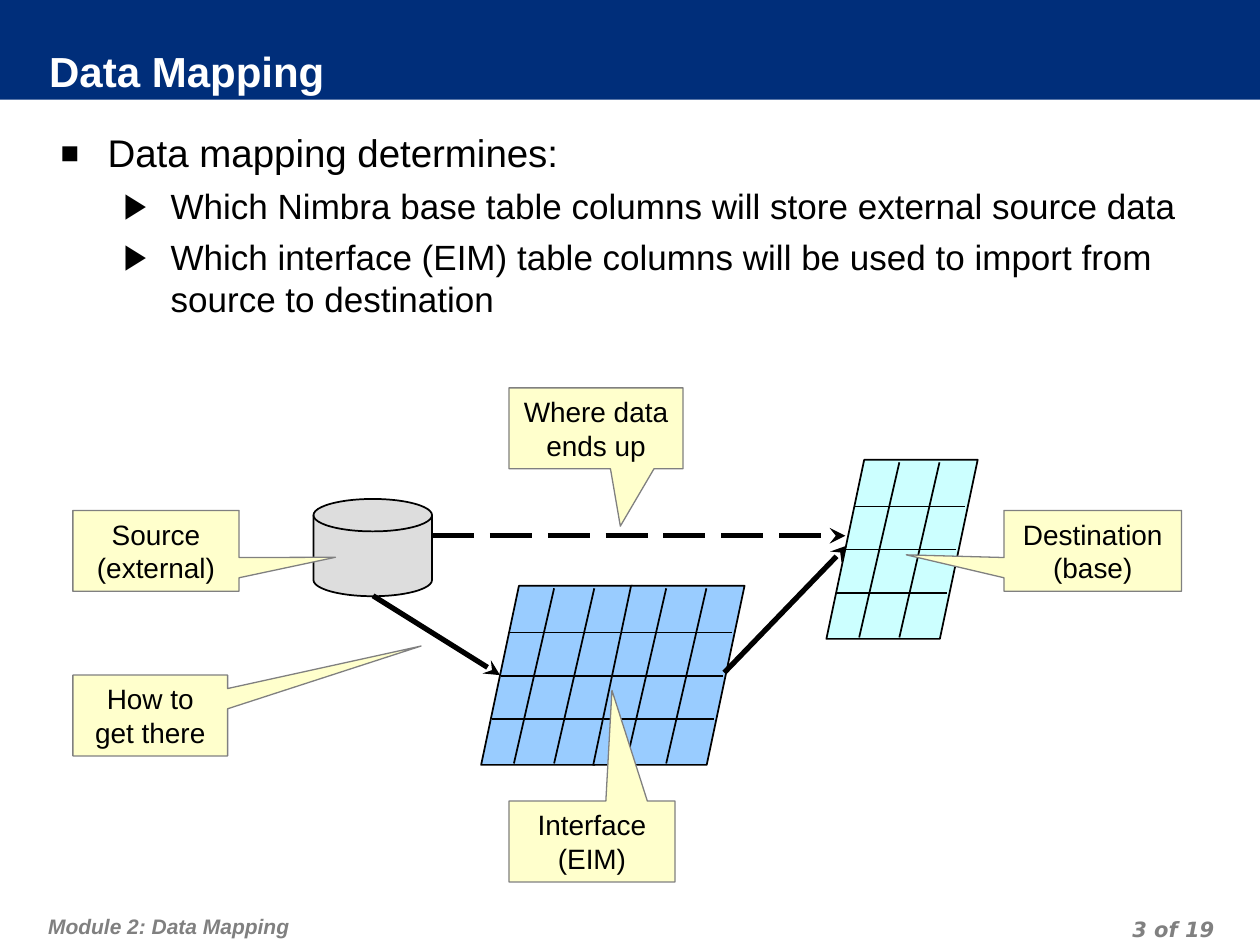
from lxml import etree
from pptx import Presentation
from pptx import util as u
from pptx.dml.color import RGBColor
from pptx.enum import dml, shapes, text
from pptx.oxml import ns


def color(value):
    return RGBColor.from_string(value)


def box(left, top, width, height):
    return u.Cm(left), u.Cm(top), u.Cm(width), u.Cm(height)


class SlideBuilder:
    FONT = "Arial"
    BLACK = "000000"
    WHITE = "FFFFFF"
    GRAY = "808080"
    NAVY = "002E7A"
    NOTE = "FFFFCC"

    def __init__(self, slide):
        self.slide = slide

    def style(self, paragraph, size, ink, font=FONT, bold=False, italic=False):
        for run in paragraph.runs:
            run.font.size = u.Pt(size)
            run.font.name = font
            run.font.bold = bold
            run.font.italic = italic
            run.font.color.rgb = color(ink)

    def frame(self, holder, insets, anchor=text.MSO_ANCHOR.TOP):
        frame = holder.text_frame
        frame.word_wrap = True
        frame.auto_size = text.MSO_AUTO_SIZE.NONE
        frame.vertical_anchor = anchor
        (frame.margin_left, frame.margin_top,
         frame.margin_right, frame.margin_bottom) = map(u.Cm, insets)
        return frame

    def place(self, holder, left, top, width, height):
        holder.left, holder.top, holder.width, holder.height = box(left, top, width, height)

    def title(self, wording, *place):
        title = self.slide.shapes.title
        self.place(title, *place)
        title.fill.solid()
        title.fill.fore_color.rgb = color(self.NAVY)
        frame = self.frame(title, (0, 0, 0.13, 0.13), text.MSO_ANCHOR.MIDDLE)
        frame.text = wording
        frame.paragraphs[0].alignment = text.PP_ALIGN.LEFT
        self.style(frame.paragraphs[0], 24, self.WHITE, bold=True)

    def bullets(self, items, *place):
        body = self.slide.placeholders[1]
        self.place(body, *place)
        frame = self.frame(body, (0.25, 0.25, 0.25, 0.13))
        frame.text = "\n".join(wording for level, wording in items)
        looks = (("■", 80, 0.95, 22), ("▶", 100, 2.22, 20))
        for paragraph, (level, wording) in zip(frame.paragraphs, items):
            mark, percent, indent, size = looks[level]
            paragraph.level = level
            props = paragraph._p.get_or_add_pPr()
            props.set("marL", str(u.Cm(indent)))
            props.set("indent", str(-u.Cm(0.95)))
            tint = etree.SubElement(props, ns.qn("a:buClr"))
            etree.SubElement(tint, ns.qn("a:srgbClr"), val=self.BLACK)
            etree.SubElement(props, ns.qn("a:buSzPct"), val=str(percent * 1000))
            etree.SubElement(props, ns.qn("a:buFont"), typeface=self.FONT)
            etree.SubElement(props, ns.qn("a:buChar"), char=mark)
            paragraph.space_before = u.Pt(5 if level else 0)
            self.style(paragraph, size, self.BLACK)

    def label(self, wording, place, insets, font=FONT, align=text.PP_ALIGN.LEFT):
        frame = self.frame(self.slide.shapes.add_textbox(*box(*place)), insets)
        frame.text = wording
        paragraph = frame.paragraphs[0]
        paragraph.alignment = align
        paragraph.line_spacing = u.Pt(18)
        self.style(paragraph, 12, self.GRAY, font, bold=True, italic=True)

    def shape(self, preset, place, fill, line=None, weight=1):
        shape = self.slide.shapes.add_shape(preset, *box(*place))
        shape.shadow.inherit = False
        shape.fill.solid()
        shape.fill.fore_color.rgb = color(fill)
        if line:
            shape.line.color.rgb = color(line)
            shape.line.width = u.Pt(weight)
        else:
            shape.line.fill.background()
        return shape

    def line(self, x1, y1, x2, y2, weight=1, dash=None, arrow=False):
        line = self.slide.shapes.add_connector(
            shapes.MSO_CONNECTOR.STRAIGHT, u.Cm(x1), u.Cm(y1), u.Cm(x2), u.Cm(y2))
        line.line.color.rgb = color(self.BLACK)
        line.line.width = u.Pt(weight)
        if dash:
            line.line.dash_style = dash
        if arrow:
            etree.SubElement(line.line._get_or_add_ln(), ns.qn("a:tailEnd"), type="stealth")
        etree.SubElement(line._element.spPr, ns.qn("a:effectLst"))

    def sheet(self, left, top, fill):
        sheet = self.shape(shapes.MSO_SHAPE.PARALLELOGRAM,
                           (left, top, 3.05, 3.61), fill, self.BLACK)
        sheet.adjustments[0] = 0.25
        for column in range(2):
            x = left + 0.81 * column
            self.line(x + 1.47, top + 0.05, x + 0.66, top + 3.58)
        for row in range(3):
            x = left + 0.58 - 0.18 * row
            y = top + 0.94 + 0.87 * row
            self.line(x, y, x + 2.21, y)

    def callout(self, wording, left, top, width, tip):
        callout = self.shape(shapes.MSO_SHAPE.RECTANGULAR_CALLOUT,
                             (left, top, width, 1.63), self.NOTE, self.GRAY, 0.75)
        callout.adjustments[0], callout.adjustments[1] = tip
        frame = self.frame(callout, (0.25, 0.13, 0.25, 0.13), text.MSO_ANCHOR.MIDDLE)
        frame.text = wording
        for paragraph in frame.paragraphs:
            paragraph.alignment = text.PP_ALIGN.CENTER
            self.style(paragraph, 16, self.BLACK)


def main():
    deck = Presentation()
    deck.slide_width, deck.slide_height = u.Cm(25.4), u.Cm(19.05)
    page = SlideBuilder(deck.slides.add_slide(deck.slide_layouts[1]))

    band = page.shape(shapes.MSO_SHAPE.RECTANGLE, (0, 0, 25.4, 2.01), page.NAVY)
    page.slide.shapes._spTree.insert(2, band._element)
    page.label("Module 2: Data Mapping", (0.84, 18.03, 15.7, 1.02), (0.13, 0.25, 0.13, 0.13))
    page.label("3 of 19", (18.69, 18.34, 5.92, 0.64), (0.13, 0, 0.13, 0),
               "DejaVu Sans", text.PP_ALIGN.RIGHT)
    page.title("Data Mapping", 0.99, 0.97, 23.29, 1.02)
    page.bullets([
        (0, "Data mapping determines:"),
        (1, "Which Nimbra base table columns will store external source data"),
        (1, "Which interface (EIM) table columns will be used to import from "
            "source to destination"),
    ], 0.97, 2.36, 23.62, 15.7)

    page.sheet(16.66, 9.27, "CCFFFF")
    for left in (9.7, 11.96):
        page.sheet(left, 11.81, "99CCFF")
    page.shape(shapes.MSO_SHAPE.FLOWCHART_MAGNETIC_DISK,
               (6.32, 10.06, 2.39, 1.96), "DDDDDD", page.BLACK)

    page.callout("Source\n(external)", 1.47, 10.29, 3.35, (1.08, 0.08))
    page.callout("Destination\n(base)", 20.24, 10.29, 3.58, (-1.05, 0.05))
    page.callout("Interface (EIM)", 10.26, 16.15, 3.35, (0.12, -1.87))
    page.line(8.71, 10.8, 17.04, 10.8, 3, dml.MSO_LINE.LONG_DASH, arrow=True)
    page.line(7.52, 12.01, 10.08, 13.61, 3, arrow=True)
    page.line(14.6, 13.56, 17.07, 11, 3, arrow=True)
    page.callout("Where data ends up", 10.26, 7.82, 3.51, (0.14, 1.21))
    page.callout("How to get there", 1.47, 13.61, 3.12, (1.75, -0.86))

    deck.save("out.pptx")


if __name__ == "__main__":
    main()
